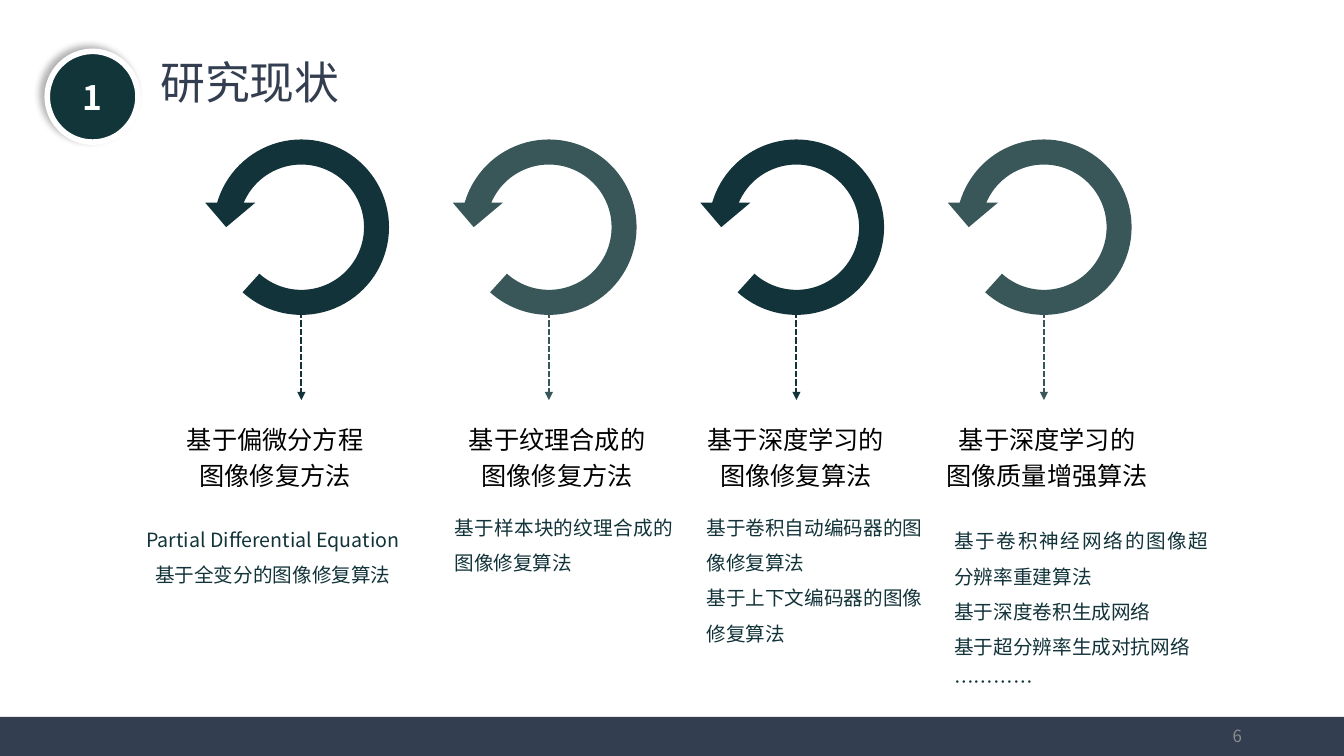
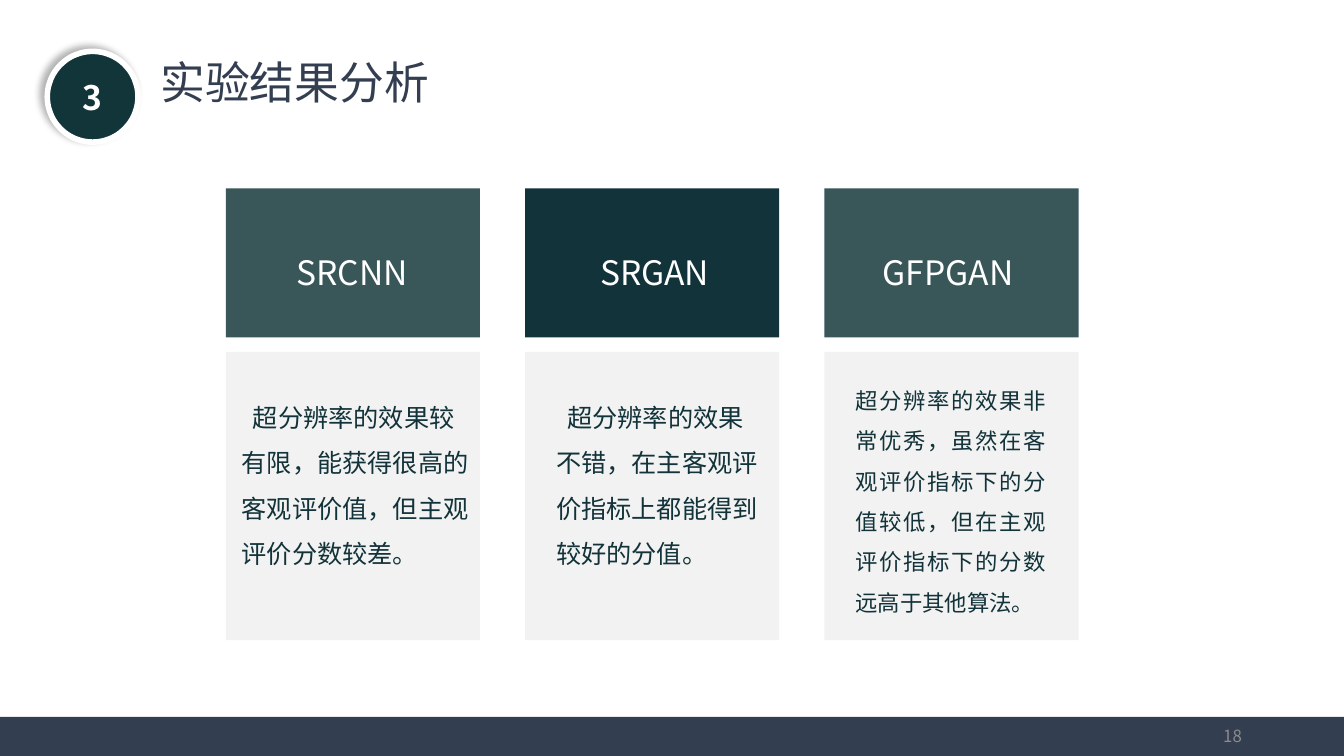
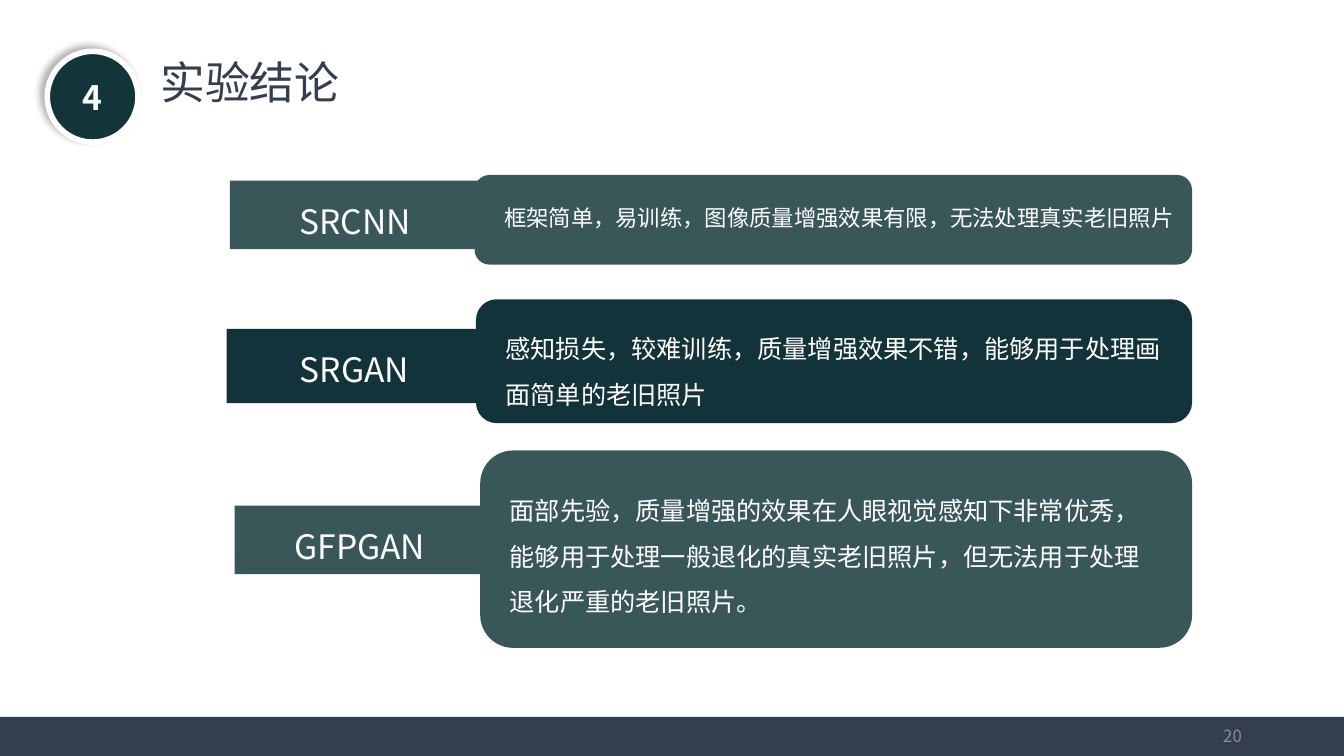
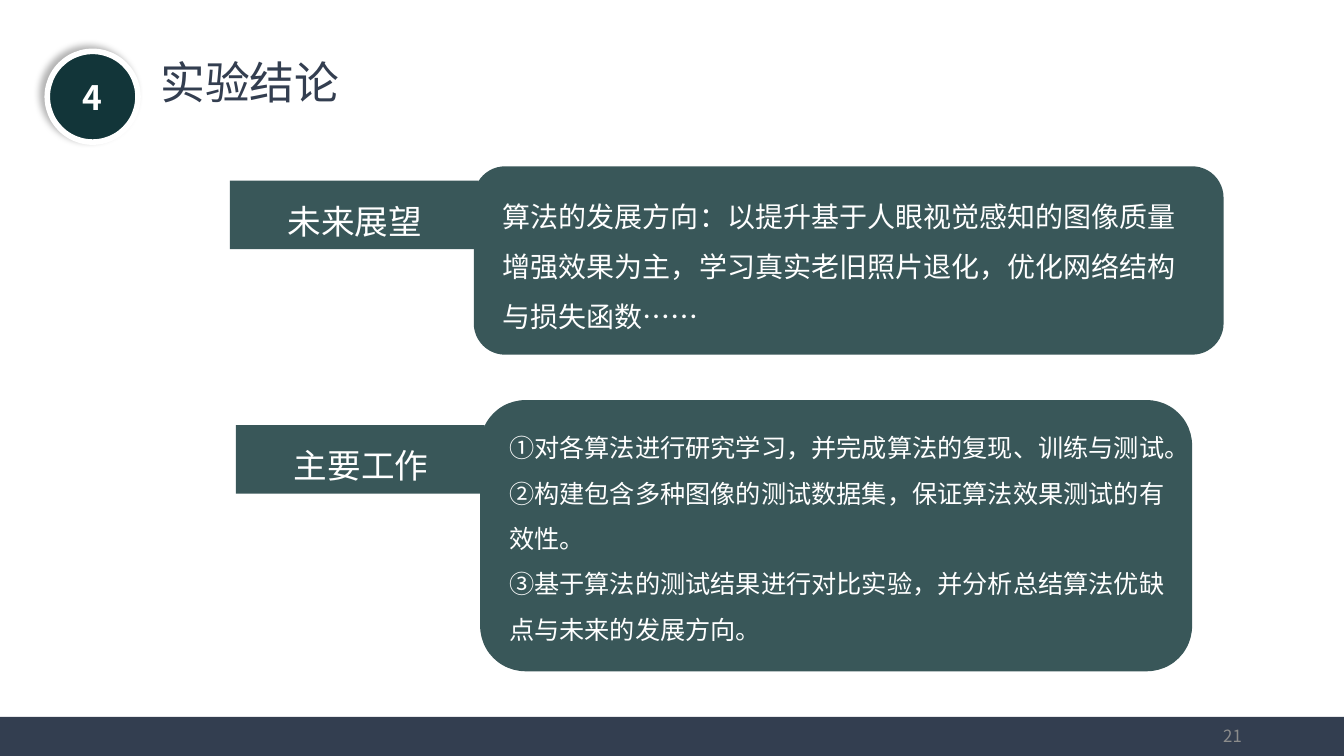
from pptx import Presentation
from pptx.dml.color import RGBColor
from pptx.enum.dml import MSO_LINE
from pptx.enum.shapes import MSO_CONNECTOR, MSO_SHAPE
from pptx.enum.text import MSO_ANCHOR, MSO_AUTO_SIZE, PP_ALIGN
from pptx.oxml.ns import qn
from pptx.util import Pt
from lxml import etree

RECT, ROUND = MSO_SHAPE.RECTANGLE, MSO_SHAPE.ROUNDED_RECTANGLE
OVAL, ARC = MSO_SHAPE.OVAL, MSO_SHAPE.CIRCULAR_ARROW
STRAIGHT, DASH = MSO_CONNECTOR.STRAIGHT, MSO_LINE.SQUARE_DOT
LEFT, CENTER, RIGHT, JUSTIFY = PP_ALIGN.LEFT, PP_ALIGN.CENTER, PP_ALIGN.RIGHT, PP_ALIGN.JUSTIFY
TOP, MIDDLE = MSO_ANCHOR.TOP, MSO_ANCHOR.MIDDLE
NO_FIT = MSO_AUTO_SIZE.NONE

FONT = "Noto Sans CJK SC"
DARK = RGBColor(0x12, 0x33, 0x39)
TEAL = RGBColor(0x39, 0x57, 0x59)
BADGE = RGBColor(0x12, 0x35, 0x39)
SLATE = RGBColor(0x33, 0x3E, 0x50)
PALE = RGBColor(0xF2, 0xF2, 0xF2)
GREY = RGBColor(0x8C, 0x8C, 0x8C)
WHITE = RGBColor(0xFF, 0xFF, 0xFF)
BLACK = RGBColor(0, 0, 0)
ARC_ADJ = (0.125, 11.423, 204.577, 28.753, 0.125)


class Deck:
    """Holds the deck style and the slide being built."""

    def __init__(self, prs):
        self.prs = prs
        prs.slide_width, prs.slide_height = Pt(960), Pt(540)

    def start(self, title, section, number, layout=5):
        self.s = self.prs.slides.add_slide(self.prs.slide_layouts[layout])
        self.place(self.s.shapes.title, (107.3, 35.3, 244, 46))
        self.set_text(self.s.shapes.title, [title], 32, SLATE, LEFT)
        self.badge(section)
        self.shape(RECT, (0, 512, 960, 28), SLATE)
        self.text((678.2, 511.5, 216, 28.8), [number], 12, GREY, RIGHT, anchor=MIDDLE)

    def place(self, sp, box):
        for name, value in zip(("left", "top", "width", "height"), box):
            setattr(sp, name, Pt(value))

    def set_text(self, sp, lines, size, color, align=LEFT, spacing=1.0,
                 anchor=TOP, bold=False, indent=0):
        tf = sp.text_frame
        for name, value in {"word_wrap": True, "auto_size": NO_FIT,
                            "vertical_anchor": anchor}.items():
            setattr(tf, name, value)
        para_format = {"alignment": align, "line_spacing": spacing,
                       "space_before": Pt(0), "space_after": Pt(0)}
        font_format = {"size": Pt(size), "bold": bold, "name": FONT}
        for i, line in enumerate(lines):
            p = tf.add_paragraph() if i else tf.paragraphs[0]
            for name, value in para_format.items():
                setattr(p, name, value)
            pPr = p._p.get_or_add_pPr()
            pPr.set("marL", "0")
            pPr.set("indent", str(Pt(indent)))
            etree.SubElement(pPr, qn("a:buNone"))
            r = p.add_run()
            r.text = line
            for name, value in font_format.items():
                setattr(r.font, name, value)
            r.font.color.rgb = color
            etree.SubElement(r._r.get_or_add_rPr(), qn("a:ea"), typeface=FONT)

    def text(self, box, lines, size, color, align=LEFT, spacing=1.0, **fmt):
        sp = self.s.shapes.add_textbox(*map(Pt, box))
        self.set_text(sp, lines, size, color, align, spacing, **fmt)

    def body(self, box, lines, size, color, spacing):
        sp = self.s.placeholders[1]
        self.place(sp, box)
        self.set_text(sp, lines, size, color, spacing=spacing)
        self.s.shapes._spTree.append(sp._element)

    def shape(self, kind, box, color):
        sp = self.s.shapes.add_shape(kind, *map(Pt, box))
        sp.shadow.inherit = False
        sp.fill.solid()
        sp.fill.fore_color.rgb = color
        sp.line.fill.background()
        return sp

    def badge(self, section):
        sp = self.shape(OVAL, (33.8, 36.7, 64.8, 64.8), BADGE)
        sp.line.color.rgb = WHITE
        sp.line.width = Pt(4)
        shadow = etree.SubElement(
            sp._element.spPr.find(qn("a:effectLst")), qn("a:outerShdw"),
            blurRad=str(Pt(5.1)), dist=str(Pt(4)), dir=str(215 * 60000),
            algn="ctr", rotWithShape="0")
        tint = etree.SubElement(shadow, qn("a:srgbClr"), val="000000")
        etree.SubElement(tint, qn("a:alpha"), val="30000")
        self.set_text(sp, [section], 24, WHITE, CENTER, anchor=MIDDLE, bold=True)

    def arc(self, box, color):
        sp = self.shape(ARC, box, color)
        for i, value in enumerate(ARC_ADJ):
            sp.adjustments[i] = value
        sp._element.spPr.find(qn("a:xfrm")).set("flipH", "1")

    def arrow(self, x, top, bottom, color):
        c = self.s.shapes.add_connector(STRAIGHT, Pt(x), Pt(top), Pt(x), Pt(bottom))
        for name, value in {"width": Pt(1.5), "dash_style": DASH}.items():
            setattr(c.line, name, value)
        c.line.color.rgb = color
        ln = c._element.spPr.find(qn("a:ln"))
        etree.SubElement(ln, qn("a:headEnd"), type="oval")
        etree.SubElement(ln, qn("a:tailEnd"), type="triangle")
        etree.SubElement(c._element.spPr, qn("a:effectLst"))

    def label(self, box, text):
        self.text(box, [text], 24, WHITE, CENTER, 1.2)

    def panel(self, name, color, tab, panel):
        self.shape(ROUND, panel, color)
        self.shape(RECT, tab, color)
        x, y, w, _ = tab
        self.label((x + 3, y + 5, w - 5, 42), name)


def research(d):
    d.start("研究现状", "1", "6")
    columns = [
        (114.5, 164, ["基于偏微分方程", "图像修复方法"], (69, 365, 252, 60), CENTER,
         ["Partial Differential Equation", "基于全变分的图像修复算法"]),
        (317.5, 161, ["基于纹理合成的", "图像修复方法"], (317.5, 356.5, 170.6, 60), JUSTIFY,
         ["基于样本块的纹理合成的图像修复算法"]),
        (488, 161, ["基于深度学习的", "图像修复算法"], (497.5, 356.5, 177, 110), LEFT,
         ["基于卷积自动编码器的图像修复算法", "基于上下文编码器的图像修复算法"]),
        (667.5, 161, ["基于深度学习的", "图像质量增强算法"], (674.6, 366, 196, 134), JUSTIFY,
         ["基于卷积神经网络的图像超分辨率重建算法", "基于深度卷积生成网络",
          "基于超分辨率生成对抗网络", "…………"]),
    ]
    for i, (x, w, heading, box, align, lines) in enumerate(columns):
        color = TEAL if i % 2 else DARK
        left = 143.7 + 176.8 * i
        d.arrow(left + 71.6, 220.3, 285.8, color)
        d.arc((left, 90.7, 143.2, 143.2), color)
        d.text((x, 295.2, w, 60), heading, 18, BLACK, CENTER, 1.2)
        d.text(box, lines, 14, DARK, align, 1.5)


def results(d):
    d.start("实验结果分析", "3", "18")
    cards = [
        ("SRCNN", TEAL, 163.4, (165.6, 273, 177, 145), 18, LEFT, 8,
         "超分辨率的效果较有限，能获得很高的客观评价值，但主观评价分数较差。"),
        ("SRGAN", DARK, 379.4, (390.2, 273, 160.6, 138), 18, LEFT, 8,
         "超分辨率的效果不错，在主客观评价指标上都能得到较好的分值。"),
        ("GFPGAN", TEAL, 589, (604, 263.5, 150.5, 181), 16, JUSTIFY, 0,
         "超分辨率的效果非常优秀，虽然在客观评价指标下的分值较低，"
         "但在主观评价指标下的分数远高于其他算法。"),
    ]
    for i, (name, color, x, box, size, align, indent, text) in enumerate(cards):
        left = 161.3 + 213.8 * i
        d.shape(RECT, (left, 251.3, 181.5, 206), PALE)
        d.text(box, [text], size, DARK, align, 1.5, indent=indent)
        d.shape(RECT, (left, 134.6, 181.5, 106.5), color)
        d.label((x, 170.6, 176.4, 42), name)


def conclusions(d):
    d.start("实验结论", "4", "20")
    rows = [
        ("SRCNN", TEAL, (164.2, 129, 177.8, 49), (339, 125, 512.5, 64),
         (353, 132.5, 546, 54), 16,
         "框架简单，易训练，图像质量增强效果有限，无法处理真实老旧照片"),
        ("SRGAN", DARK, (161.8, 235, 181.4, 53), (340, 213.8, 511.5, 88.5),
         (354, 224, 482.4, 73), 18,
         "感知损失，较难训练，质量增强效果不错，能够用于处理画面简单的老旧照片"),
        ("GFPGAN", TEAL, (167.6, 361.2, 177.8, 49), (343, 321.8, 508.5, 141),
         (357, 339.8, 479.5, 105), 18,
         "面部先验，质量增强的效果在人眼视觉感知下非常优秀，"
         "能够用于处理一般退化的真实老旧照片，但无法用于处理退化严重的老旧照片。"),
    ]
    for name, color, tab, panel, box, size, text in rows:
        d.panel(name, color, tab, panel)
        d.text(box, [text], size, WHITE, spacing=1.5)


def outlook(d):
    d.start("实验结论", "4", "21", layout=1)
    d.panel("未来展望", TEAL, (164.2, 129, 177.8, 49), (338.4, 118.8, 535.6, 134.6))
    d.text((352, 126.7, 506, 113),
           ["算法的发展方向：以提升基于人眼视觉感知的图像质量增强效果为主，"
            "学习真实老旧照片退化，优化网络结构与损失函数……"],
           20, WHITE, spacing=1.5)
    d.panel("主要工作", TEAL, (168.5, 303.6, 177.8, 49), (343, 285.8, 508.5, 193.7))
    d.body((356.5, 294.5, 494.6, 185),
           ["①对各算法进行研究学习，并完成算法的复现、训练与测试。",
            "②构建包含多种图像的测试数据集，保证算法效果测试的有效性。",
            "③基于算法的测试结果进行对比实验，并分析总结算法优缺点与未来的发展方向。"],
           18, WHITE, 1.5)


def main():
    prs = Presentation()
    d = Deck(prs)
    for build in (research, results, conclusions, outlook):
        build(d)
    prs.save("out.pptx")


if __name__ == "__main__":
    main()
